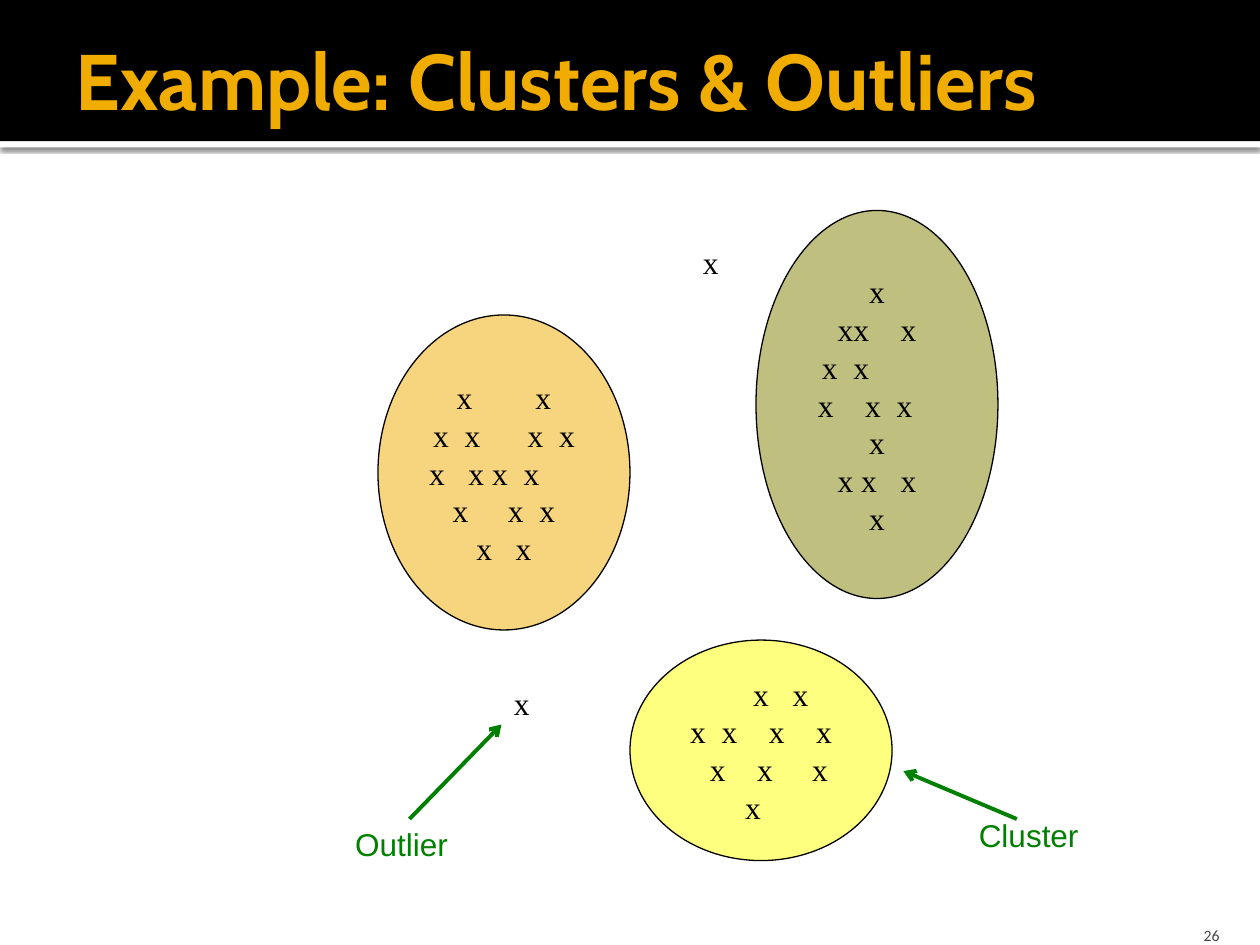
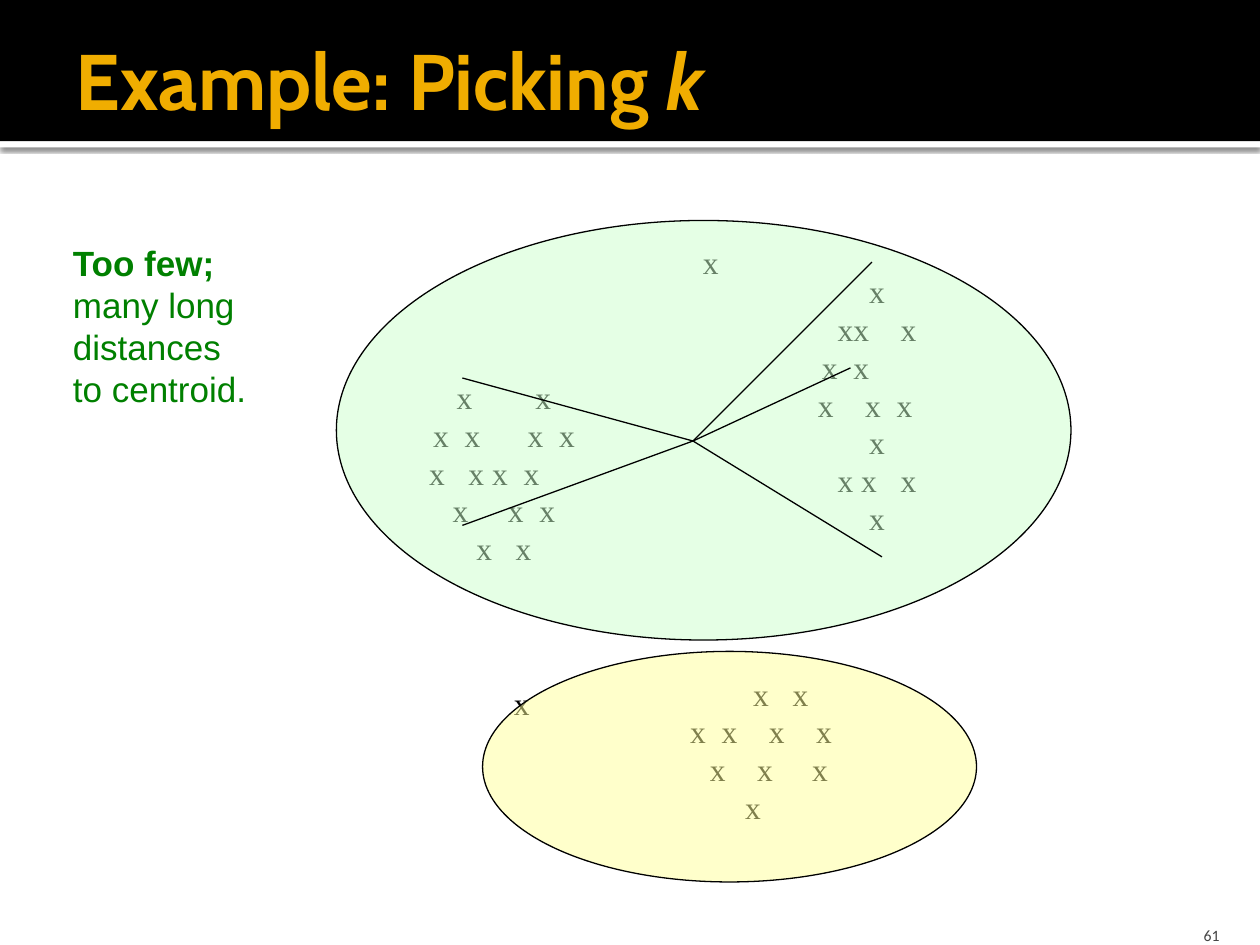
from lxml import etree
from pptx import Presentation
from pptx.dml.color import RGBColor
from pptx.enum.shapes import MSO_CONNECTOR, MSO_SHAPE
from pptx.enum.text import MSO_ANCHOR, PP_ALIGN
from pptx.oxml.ns import qn
from pptx.util import Inches, Pt

OVAL, RECT = MSO_SHAPE.OVAL, MSO_SHAPE.RECTANGLE
STRAIGHT = MSO_CONNECTOR.STRAIGHT
TOP, MIDDLE, BOTTOM = MSO_ANCHOR.TOP, MSO_ANCHOR.MIDDLE, MSO_ANCHOR.BOTTOM
LEFT, RIGHT = PP_ALIGN.LEFT, PP_ALIGN.RIGHT

WIDTH, HEIGHT = 10, 7.5
BAND_HEIGHT, STRIPE_HEIGHT = 1.12, 0.05
BLACK, WHITE, GOLD, GREEN, GRAY = "000000", "FFFFFF", "F0AD00", "008000", "454545"

TITLE_STYLE = dict(font="Cabin", size=45, color=GOLD, bold=True)
NUMBER_STYLE = dict(font="Calibri", size=9, color=GRAY)
POINT_STYLE = dict(font="Times New Roman", size=18, color=BLACK)
LABEL_STYLE = dict(font="Arial", size=18, color=GREEN)
REMARK_STYLE = dict(font="Arial", size=20, color=GREEN)

COLUMN = 0.0625
JOINERS = {2: "", 3: " "}
POINT_PITCH = 21.6
OVAL_TEXT_SHARE = 0.7071

CLUSTERS = [
    dict(at=(3, 2.5, 2, 2.5), color=GOLD, columns_from_center=[
        [-6, 4], [-9, -5, 3, 7], [-9.5, -4.5, -1.5, 2.5],
        [-6.5, 0.5, 4.5], [-3.5, 1.5]]),
    dict(at=(6, 1.67, 1.92, 3.08), color="808000", columns_from_center=[
        [-1], [-5, -3, 3], [-7, -3], [-7.5, -1.5, 2.5],
        [-1], [-5, -2, 3], [-1]]),
    dict(at=(5, 5.08, 2.08, 1.75), color="FFFF00", columns_from_center=[
        [-1, 4], [-9, -5, 1, 7], [-6.5, -0.5, 6.5], [-2]]),
]
OUTLIERS = [(5.48, 1.88), (3.98, 5.38)]

CALLOUTS = [
    ("Outlier", (2.72, 6.5, 0.95, 0.4), (3.25, 6.5), (3.98, 5.75)),
    ("Cluster", (7.67, 6.43, 1, 0.4), (8.07, 6.5), (7.17, 6.12)),
]

MERGED_CLUSTERS = [((2.67, 1.75, 5.83, 3.33), "CCFFCC"),
                   ((3.83, 5.17, 3.92, 1.83), "FFFF99")]
CENTROID = (5.5, 3.5)
FAR_POINTS = [(3.67, 3), (3.67, 4.17), (7, 4.42), (6.75, 2.92), (6.92, 2.08)]
REMARK = [[("Too few;", dict(bold=True))], [("many long", {})],
          [("distances", {})], [("to centroid.", {})]]


def rgb(code):
    return RGBColor.from_string(code)


def add_run(paragraph, text, font, size, color, bold=False, italic=False):
    run = paragraph.add_run()
    run.text = text
    run.font.name, run.font.size = font, Pt(size)
    run.font.bold, run.font.italic = bold, italic
    run.font.color.rgb = rgb(color)


def set_frame(frame, margins, anchor):
    frame.word_wrap = True
    frame.vertical_anchor = anchor
    (frame.margin_left, frame.margin_top,
     frame.margin_right, frame.margin_bottom) = map(Inches, margins)


def paragraph_at(frame, index):
    return frame.add_paragraph() if index else frame.paragraphs[0]


def add_text(slide, at, lines, style, anchor=TOP, align=LEFT, pitch=None):
    frame = slide.shapes.add_textbox(*map(Inches, at)).text_frame
    set_frame(frame, (0.1, 0.05, 0, 0), anchor)
    for index, line in enumerate(lines):
        paragraph = paragraph_at(frame, index)
        paragraph.alignment = align
        if pitch:
            paragraph.line_spacing = Pt(pitch)
        for text, changes in line:
            add_run(paragraph, text, **{**style, **changes})


def add_area(slide, kind, at, fill=None, opacity=100, outlined=False):
    area = slide.shapes.add_shape(kind, *map(Inches, at))
    area.shadow.inherit = False
    if fill:
        area.fill.solid()
        area.fill.fore_color.rgb = rgb(fill)
        if opacity < 100:
            color = area._element.spPr.find(qn("a:solidFill"))[0]
            etree.SubElement(color, qn("a:alpha"), val=str(opacity * 1000))
    else:
        area.fill.background()
    if outlined:
        area.line.color.rgb = rgb(BLACK)
        area.line.width = Pt(0.75)
    else:
        area.line.fill.background()
    return area


def add_line(slide, start, end, color, width, arrow=False):
    line = slide.shapes.add_connector(STRAIGHT, *map(Inches, start + end))
    line.line.color.rgb = rgb(color)
    line.line.width = Pt(width)
    properties = line._element.spPr
    if arrow:
        etree.SubElement(properties.find(qn("a:ln")), qn("a:tailEnd"), type="arrow")
    etree.SubElement(properties, qn("a:effectLst"))


def add_stripe_shadow(stripe):
    effects = stripe._element.spPr.find(qn("a:effectLst"))
    shadow = etree.SubElement(effects, qn("a:outerShdw"), blurRad=str(Pt(2.5)),
                              dist=str(Pt(0.8)), dir="5400000", rotWithShape="0")
    color = etree.SubElement(shadow, qn("a:srgbClr"), val=BLACK)
    etree.SubElement(color, qn("a:alpha"), val="60000")


def add_cluster(slide, cluster, filled):
    oval = add_area(slide, OVAL, cluster["at"], cluster["color"] if filled else None,
                    50, outlined=filled)
    set_frame(oval.text_frame, (0, 0, 0, 0), MIDDLE)
    center = cluster["at"][2] * OVAL_TEXT_SHARE / 2
    for index, columns in enumerate(cluster["columns_from_center"]):
        paragraph = paragraph_at(oval.text_frame, index)
        paragraph.alignment = LEFT
        paragraph.line_spacing = Pt(POINT_PITCH)
        stops = etree.SubElement(paragraph._p.get_or_add_pPr(), qn("a:tabLst"))
        marks, previous = "", None
        for column in columns:
            gap = None if previous is None else column - previous
            joiner = JOINERS.get(gap, "\t")
            if joiner == "\t":
                stop = Inches(center + column * COLUMN)
                etree.SubElement(stops, qn("a:tab"), pos=str(stop), algn="l")
            marks += joiner + "x"
            previous = column
        add_run(paragraph, marks, **POINT_STYLE)


def add_base(deck, title, number, filled):
    slide = deck.slides.add_slide(deck.slide_layouts[6])
    add_stripe_shadow(add_area(
        slide, RECT, (0, BAND_HEIGHT, WIDTH, STRIPE_HEIGHT), WHITE))
    add_area(slide, RECT, (0, 0, WIDTH, BAND_HEIGHT), BLACK)
    add_text(slide, (0.5, 0.17, 9, 0.87), [title], TITLE_STYLE, MIDDLE)
    add_text(slide, (8.98, 7.2, 0.7, 0.3), [[(number, {})]], NUMBER_STYLE,
             BOTTOM, RIGHT)
    for cluster in CLUSTERS:
        add_cluster(slide, cluster, filled)
    for outlier in OUTLIERS:
        add_text(slide, outlier + (0.37, 0.5), [[("x", {})]], POINT_STYLE,
                 pitch=POINT_PITCH)
    return slide


def add_outlier_slide(deck):
    slide = add_base(deck, [("Example: Clusters & Outliers", {})], "26", True)
    for label, at, start, end in CALLOUTS:
        add_line(slide, start, end, GREEN, 2.25, arrow=True)
        add_text(slide, at, [[(label, {})]], LABEL_STYLE)


def add_picking_slide(deck):
    title = [("Example: Picking ", {}), ("k", dict(italic=True))]
    slide = add_base(deck, title, "61", False)
    for at, color in MERGED_CLUSTERS:
        add_area(slide, OVAL, at, color, 50, outlined=True)
    for point in FAR_POINTS:
        add_line(slide, CENTROID, point, BLACK, 0.75)
    add_text(slide, (0.48, 1.87, 1.59, 1.45), REMARK, REMARK_STYLE)


def main():
    deck = Presentation()
    deck.slide_width, deck.slide_height = Inches(WIDTH), Inches(HEIGHT)
    add_outlier_slide(deck)
    add_picking_slide(deck)
    deck.save("out.pptx")


if __name__ == "__main__":
    main()
